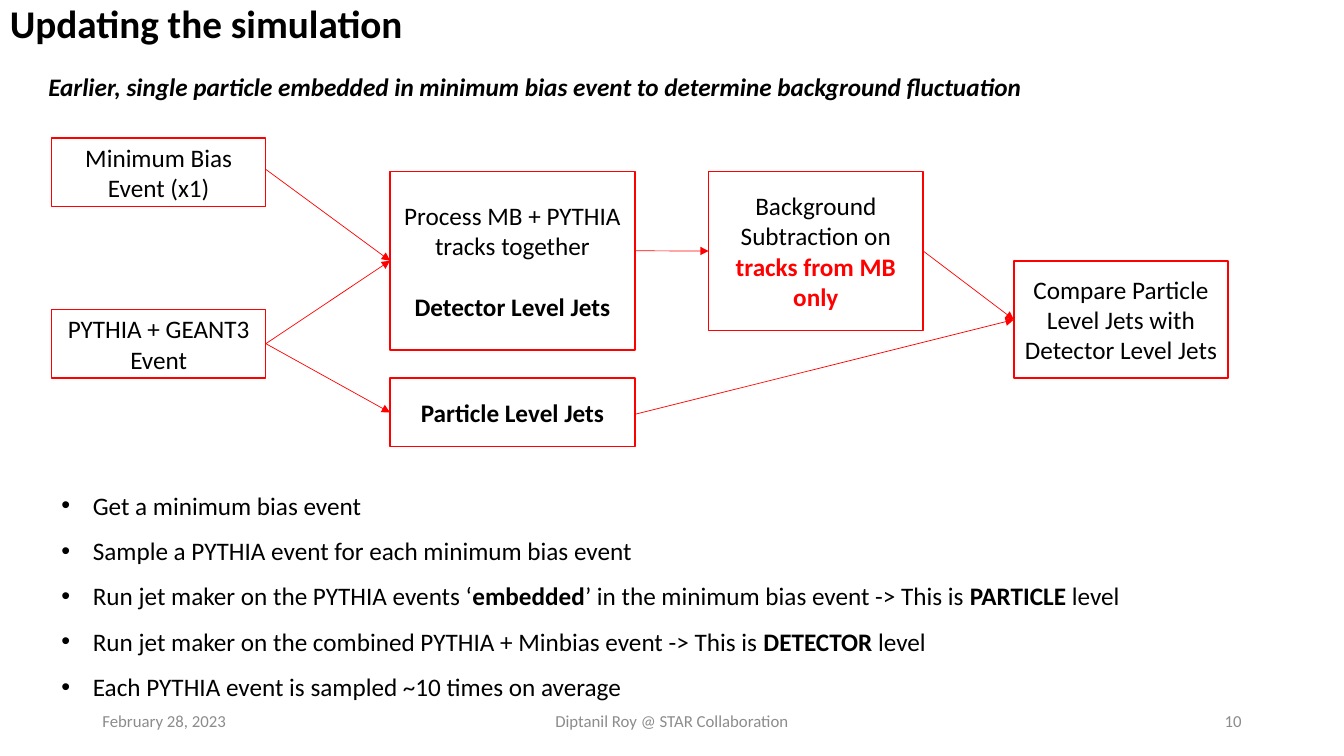
from lxml.etree import SubElement
from pptx import Presentation
from pptx.dml.color import RGBColor
from pptx.enum.shapes import MSO_CONNECTOR, MSO_SHAPE
from pptx.enum.text import MSO_ANCHOR, PP_ALIGN
from pptx.oxml.ns import qn
from pptx.util import Cm, Pt

RED, BLACK, GRAY, WHITE = "FF0000", "000000", "8C8C8C", "FFFFFF"

STEPS = {
    "bias": (0, 0, 5.4, 1.73, ["Minimum Bias Event (x1)"]),
    "event": (0, 4.32, 5.4, 1.73, ["PYTHIA + GEANT3 Event"]),
    "truth": (8.53, 6.05, 6.17, 1.73, ["|Particle Level Jets"]),
    "merge": (8.53, 0.84, 6.17, 4.5,
              ["Process MB + PYTHIA tracks together", "|Detector Level Jets"]),
    "clean": (16.56, 0.84, 5.4, 4.01,
              ["Background Subtraction on |tracks from MB only"]),
    "match": (24.25, 3.1, 5.4, 2.95,
              ["Compare Particle Level Jets with Detector Level Jets"]),
}
LINKS = [("event", 5.18, "truth"), ("event", 5.18, "merge"), ("bias", 0.79, "merge"),
         ("merge", 2.84, "clean"), ("clean", 2.84, "match"), ("truth", 6.96, "match")]
POINTS = [
    "Get a minimum bias event",
    "Sample a PYTHIA event for each minimum bias event",
    "Run jet maker on the PYTHIA events ‘|embedded|’ in the minimum bias event"
    " -> This is |PARTICLE| level",
    "Run jet maker on the combined PYTHIA + Minbias event -> This is |DETECTOR| level",
    "Each PYTHIA event is sampled ~10 times on average",
]


def color(code):
    """Turn a hex string into a colour."""
    return RGBColor.from_string(code)


def write(para, text, size=18, code=BLACK, strong=None, align=PP_ALIGN.LEFT):
    """Fill a paragraph, with every second part between bars in bold."""
    para.alignment = align
    for num, part in enumerate(text.split("|")):
        if part:
            run = para.add_run()
            run.text = part
            font = run.font
            font.name, font.size, font.bold = "Calibri", Pt(size), num % 2 == 1
            font.color.rgb = color(strong if strong and font.bold else code)


def label(slide, box, lines, anchor=MSO_ANCHOR.TOP, **style):
    """Add a text box with one paragraph per line and return its paragraphs."""
    frame = slide.shapes.add_textbox(*map(Cm, box)).text_frame
    frame.word_wrap, frame.vertical_anchor = True, anchor
    for num, line in enumerate(lines):
        para = frame.add_paragraph() if num else frame.paragraphs[0]
        write(para, line, **style)
    return frame.paragraphs


def header(slide, left, top, width):
    """Place the title and the line under it."""
    title, = label(slide, (left, top, width, 1.35), ["|Updating the simulation"], size=28)
    title.line_spacing = 0.9
    lead, = label(slide, (left + 0.97, top + 1.68, 25.32, 1.02),
                  ["|Earlier, single particle embedded in minimum bias event"
                   " to determine background fluctuation"])
    lead.runs[0].font.italic = True


def step(slide, left, top, width, height, lines):
    """Draw one red framed box of the flow chart."""
    shape = slide.shapes.add_shape(MSO_SHAPE.RECTANGLE, *map(Cm, (left, top, width, height)))
    shape.shadow.inherit = False
    shape.fill.solid()
    shape.fill.fore_color.rgb = color(WHITE)
    shape.line.color.rgb, shape.line.width = color(RED), Pt(1)
    frame = shape.text_frame
    frame.word_wrap, frame.vertical_anchor = True, MSO_ANCHOR.MIDDLE
    for num, line in enumerate(lines):
        para = frame.add_paragraph() if num else frame.paragraphs[0]
        strong = RED if "tracks from" in line else None
        write(para, line, strong=strong, align=PP_ALIGN.CENTER)
        if num:
            para.space_before = Pt(22)


def arrow(slide, *ends):
    """Draw a thin red arrow between two points."""
    line = slide.shapes.add_connector(MSO_CONNECTOR.STRAIGHT, *map(Cm, ends))
    line.line.color.rgb, line.line.width = color(RED), Pt(0.5)
    SubElement(line.line._get_or_add_ln(), qn("a:tailEnd"), type="triangle")
    SubElement(line._element.spPr, qn("a:effectLst"))


def flow(slide, left, top):
    """Lay out the flow chart from its upper left corner."""
    for x, y, width, height, lines in STEPS.values():
        step(slide, left + x, top + y, width, height, lines)
    for start, level, end in LINKS:
        x, _, width, _, _ = STEPS[start]
        goal, y, _, height, _ = STEPS[end]
        arrow(slide, left + x + width, top + level, left + goal, top + y + height / 2)


def points(slide, *box):
    """Place the bullet list."""
    for para in label(slide, box, POINTS):
        para.line_spacing = 1.5
        props = para._p.get_or_add_pPr()
        props.set("marL", str(Cm(0.79)))
        props.set("indent", str(-Cm(0.79)))
        SubElement(props, qn("a:buFont"), typeface="Arial")
        SubElement(props, qn("a:buChar"), char="•")


def footer(slide, left, top, width):
    """Place the date, the speaker and the page number."""
    parts = [(0, 7.62, "February 28, 2023", PP_ALIGN.LEFT),
             ((width - 11.43) / 2, 11.43, "Diptanil Roy @ STAR Collaboration", PP_ALIGN.CENTER),
             (width - 7.62, 7.62, "10", PP_ALIGN.RIGHT)]
    for x, span, text, align in parts:
        label(slide, (left + x, top, span, 1.01), [text], MSO_ANCHOR.MIDDLE,
              size=12, code=GRAY, align=align)


def main():
    """Build the slide and save it."""
    deck = Presentation()
    deck.slide_width, deck.slide_height = Cm(33.87), Cm(19.05)
    slide = deck.slides.add_slide(deck.slide_layouts[6])
    header(slide, 0, 0, 33.87)
    points(slide, 1.3, 11.84, 27.46, 5.92)
    flow(slide, 1.3, 3.48)
    footer(slide, 2.33, 17.66, 29.21)
    deck.save("out.pptx")


if __name__ == "__main__":
    main()
